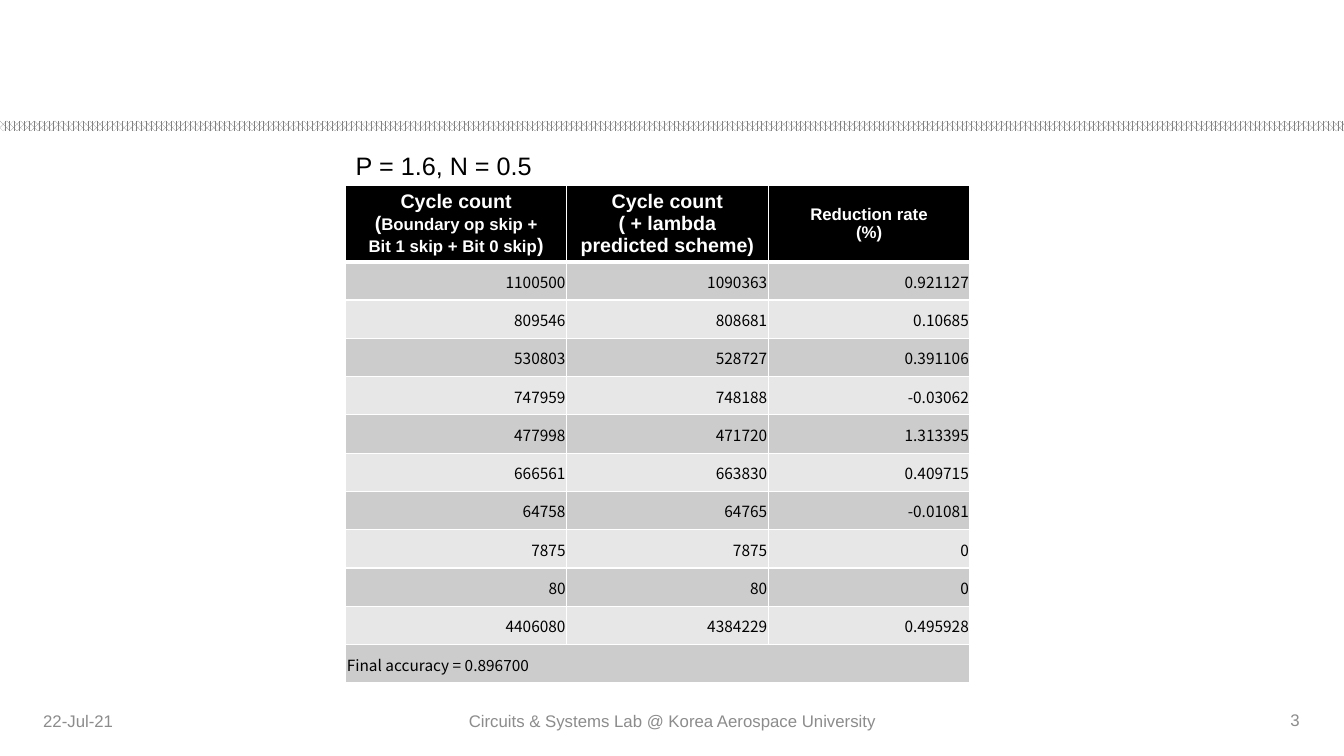
from lxml import etree
from pptx import Presentation
from pptx.dml.color import RGBColor
from pptx.enum.dml import MSO_PATTERN
from pptx.enum.shapes import MSO_SHAPE
from pptx.enum.text import MSO_ANCHOR, PP_ALIGN
from pptx.oxml.ns import qn
from pptx.util import Inches, Pt

HEADERS = [
    [[("Cycle count", 14)],
     [("(", 14), ("Boundary op skip +", 12)],
     [("Bit 1 skip + Bit 0 skip", 12), (")", 14)]],
    [[("Cycle count", 14)], [("( + lambda predicted scheme)", 14)]],
    [[("Reduction rate", 12)], [("(%)", 12)]],
]
RESULTS = [
    ("1100500", "1090363", "0.921127"),
    ("809546", "808681", "0.10685"),
    ("530803", "528727", "0.391106"),
    ("747959", "748188", "-0.03062"),
    ("477998", "471720", "1.313395"),
    ("666561", "663830", "0.409715"),
    ("64758", "64765", "-0.01081"),
    ("7875", "7875", "0"),
    ("80", "80", "0"),
    ("4406080", "4384229", "0.495928"),
]
ACCURACY = "Final accuracy = 0.896700"
COLUMN_WIDTHS = (2.19, 2, 2)
HEADER_HEIGHT, ROW_HEIGHT = 0.68, 0.38
BAND_FILLS = ("CCCCCC", "E7E7E7")
BODY_FONT = "Noto Sans CJK KR"


def rgb(value):
    """Turn a hex string into a colour."""
    return RGBColor.from_string(value)


def write(frame, paragraphs, color, align=PP_ALIGN.LEFT, font="Arial", bold=False):
    """Fill a text frame with paragraphs, each a list of (text, size) runs."""
    for i, runs in enumerate(paragraphs):
        paragraph = frame.paragraphs[0] if i == 0 else frame.add_paragraph()
        paragraph.alignment = align
        for text, size in runs:
            run = paragraph.add_run()
            run.text = text
            run.font.name, run.font.size, run.font.bold = font, Pt(size), bold
            run.font.color.rgb = rgb(color)
            if font == BODY_FONT:
                east_asian = etree.SubElement(run.font._element, qn("a:ea"))
                east_asian.set("typeface", font)


def add_label(slide, box, text, size, color, align=PP_ALIGN.LEFT, anchor=MSO_ANCHOR.MIDDLE):
    """Add a one-line text box; box is left, top, width, height in inches."""
    frame = slide.shapes.add_textbox(*map(Inches, box)).text_frame
    frame.word_wrap = True
    frame.vertical_anchor = anchor
    write(frame, [[(text, size)]], color, align)


def add_divider(slide):
    """Add the patterned band below the title area."""
    band = slide.shapes.add_shape(
        MSO_SHAPE.RECTANGLE, 0, Inches(1.2), Inches(13.33), Inches(0.1))
    band.shadow.inherit = False
    band.line.fill.background()
    band.fill.patterned()
    band.fill.pattern = MSO_PATTERN.PERCENT_70
    band.fill.fore_color.rgb = rgb("808080")
    band.fill.back_color.rgb = rgb("FFFFFF")


def style_cell(cell, fill, top=1, bottom=1):
    """Give a cell white borders (widths in points), a fill and middle anchoring."""
    properties = cell._tc.get_or_add_tcPr()
    for side, width in (("L", 1), ("R", 1), ("T", top), ("B", bottom)):
        line = etree.SubElement(properties, qn(f"a:ln{side}"), w=str(Pt(width)))
        solid = etree.SubElement(line, qn("a:solidFill"))
        etree.SubElement(solid, qn("a:srgbClr"), val="FFFFFF")
    cell.fill.solid()
    cell.fill.fore_color.rgb = rgb(fill)
    cell.vertical_anchor = MSO_ANCHOR.MIDDLE


def fill_body_cell(cell, text, align):
    """Write a result into a body cell with tight margins."""
    cell.margin_left = cell.margin_right = cell.margin_top = Inches(0.01)
    cell.margin_bottom = 0
    write(cell.text_frame, [[(text, 11)]], "000000", align, BODY_FONT)


def add_results_table(slide):
    """Add the cycle count table with its header and closing accuracy row."""
    rows = len(RESULTS) + 2
    table = slide.shapes.add_table(
        rows, len(COLUMN_WIDTHS), Inches(3.43), Inches(1.84),
        Inches(sum(COLUMN_WIDTHS)),
        Inches(HEADER_HEIGHT + ROW_HEIGHT * (rows - 1))).table
    for column, width in zip(table.columns, COLUMN_WIDTHS):
        column.width = Inches(width)
    for i, row in enumerate(table.rows):
        row.height = Inches(ROW_HEIGHT if i else HEADER_HEIGHT)
        for cell in row.cells:
            if i == 0:
                style_cell(cell, "000000", bottom=3)
            else:
                style_cell(cell, BAND_FILLS[(i - 1) % 2], top=3 if i == 1 else 1)
    for cell, paragraphs in zip(table.rows[0].cells, HEADERS):
        write(cell.text_frame, paragraphs, "FFFFFF", PP_ALIGN.CENTER, bold=True)
    for i, values in enumerate(RESULTS, start=1):
        for cell, value in zip(table.rows[i].cells, values):
            fill_body_cell(cell, value, PP_ALIGN.RIGHT)
    accuracy_cell = table.cell(rows - 1, 0)
    accuracy_cell.merge(table.cell(rows - 1, len(COLUMN_WIDTHS) - 1))
    fill_body_cell(accuracy_cell, ACCURACY, PP_ALIGN.LEFT)


def add_footer(slide):
    """Add the date, the lab name and the page number."""
    for box, text, align in (
            ((0.33, 6.95, 3, 0.4), "22-Jul-21", PP_ALIGN.LEFT),
            ((4.42, 6.95, 4.5, 0.4),
             "Circuits & Systems Lab @ Korea Aerospace University", PP_ALIGN.CENTER),
            ((9.95, 6.94, 3.04, 0.4), "3", PP_ALIGN.RIGHT)):
        add_label(slide, box, text, 12, "8C8C8C", align)


def main():
    """Build the slide and save it."""
    presentation = Presentation()
    presentation.slide_width, presentation.slide_height = Inches(13.33), Inches(7.5)
    slide = presentation.slides.add_slide(presentation.slide_layouts[6])
    add_divider(slide)
    add_results_table(slide)
    add_footer(slide)
    add_label(slide, (3.43, 1.44, 6.19, 0.4), "P = 1.6, N = 0.5", 18, "000000",
              anchor=MSO_ANCHOR.TOP)
    presentation.save("out.pptx")


main()
